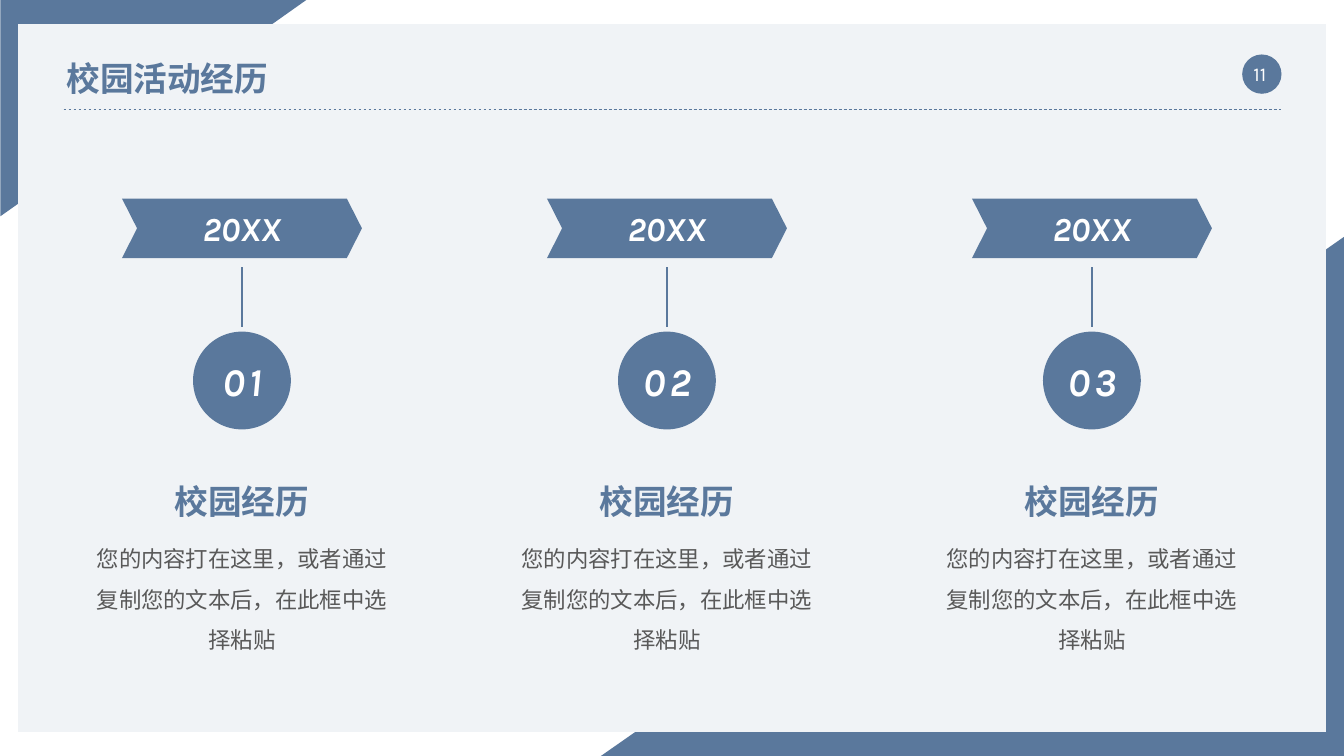
from dataclasses import dataclass

from lxml import etree
from pptx import Presentation
from pptx import util as u
from pptx.dml.color import RGBColor
from pptx.enum import dml, lang, shapes, text
from pptx.oxml.ns import qn


@dataclass(frozen=True)
class Theme:
    """Colours, typeface and type sizes of the slide."""
    blue: str = "5A789C"
    panel: str = "F0F3F6"
    white: str = "FFFFFF"
    grey: str = "595959"
    font: str = "Karla"
    page: int = 14
    body: int = 16
    heading: int = 24
    number: int = 28


THEME = Theme()
WIDTH, HEIGHT = 13.33, 7.5
FIRST_CENTER, CENTER_SPAN = 2.4, 8.43
BODY = "您的内容打在这里，或者通过复制您的文本后，在此框中选择粘贴"
EXPERIENCES = [(year, number, "校园经历", BODY)
               for year, number in (("20XX", "01"), ("20XX", "02"), ("20XX", "03"))]


def inches(*lengths):
    """Convert lengths in inches to slide units."""
    return [u.Inches(length) for length in lengths]


def paint(shape, color):
    """Give a shape a flat fill without outline or shadow."""
    shape.fill.solid()
    shape.fill.fore_color.rgb = RGBColor.from_string(color)
    shape.line.fill.background()
    shape.shadow.inherit = False
    return shape


def add_figure(parent, kind, box, color=THEME.blue, adjust=None, rotation=0):
    """Add a flat preset shape."""
    shape = paint(parent.add_shape(kind, *inches(*box)), color)
    if adjust is not None:
        shape.adjustments[0] = adjust
    shape.rotation = rotation
    return shape


def add_line(parent, start, end, width, dash=None):
    """Add a straight blue line."""
    line = parent.add_connector(shapes.MSO_CONNECTOR.STRAIGHT, *inches(*start, *end))
    line.line.color.rgb = RGBColor.from_string(THEME.blue)
    line.line.width = u.Pt(width)
    if dash:
        line.line.dash_style = dash
    etree.SubElement(line.element.spPr, qn("a:effectLst"))


def write(shape, content, size, color, bold=False, italic=False, tracking=0,
          align=text.PP_ALIGN.CENTER, anchor=text.MSO_ANCHOR.TOP, spacing=1.0,
          wrap=True, margins=None):
    """Write one formatted paragraph into a shape."""
    frame = shape.text_frame
    frame.word_wrap = wrap
    frame.auto_size = text.MSO_AUTO_SIZE.NONE
    frame.vertical_anchor = anchor
    if margins is not None:
        frame.margin_left = frame.margin_right = u.Inches(margins)
        frame.margin_top = frame.margin_bottom = u.Inches(margins)
    paragraph = frame.paragraphs[0]
    paragraph.alignment = align
    paragraph.line_spacing = spacing
    run = paragraph.add_run()
    run.text = content
    font = run.font
    font.name, font.size, font.bold, font.italic = THEME.font, u.Pt(size), bold, italic
    font.color.rgb = RGBColor.from_string(color)
    font.language_id = lang.MSO_LANGUAGE_ID.SIMPLIFIED_CHINESE
    properties = run.font._element
    etree.SubElement(properties, qn("a:ea"), typeface=THEME.font)
    if tracking:
        properties.set("spc", str(tracking * 100))


def add_text(parent, box, content, size, color, **style):
    """Add a text box."""
    write(parent.add_textbox(*inches(*box)), content, size, color, **style)


def add_ribbon(parent, center, top, width, height, notch):
    """Add a notched ribbon that points right."""
    left, right = center - width / 2, center + width / 2
    middle, bottom = top + height / 2, top + height
    outline = [(right - notch, top), (right, middle), (right - notch, bottom),
               (left, bottom), (left + notch, middle)]
    builder = parent.build_freeform(*inches(left, top), scale=1.0)
    builder.add_line_segments([inches(*point) for point in outline], close=True)
    paint(builder.convert_to_shape(), THEME.blue)


def add_frame(parent):
    """Draw the corner triangles, panel, page badge and title rule."""
    triangle = shapes.MSO_SHAPE.ISOSCELES_TRIANGLE
    add_figure(parent, triangle, (5.96, 2.35, WIDTH - 5.96, HEIGHT - 2.35), adjust=1)
    add_figure(parent, triangle, (0.45, -0.45, 2.15, 3.04), adjust=0, rotation=90)
    add_figure(parent, shapes.MSO_SHAPE.RECTANGLE, (0.18, 0.24, 12.97, 7.02), THEME.panel)
    add_figure(parent, shapes.MSO_SHAPE.OVAL, (12.32, 0.54, 0.39, 0.39))
    add_text(parent, (12.22, 0.58, 0.55, 0.3), "11", THEME.page, THEME.white,
             anchor=text.MSO_ANCHOR.MIDDLE)
    add_line(parent, (0.63, 1.09), (12.71, 1.09), 0.5, dml.MSO_LINE.DASH)


def place_title(title, content):
    """Format the title placeholder and bring it to the front."""
    title.left, title.top, title.width, title.height = inches(0.56, 0.52, 2.22, 0.5)
    write(title, content, THEME.heading, THEME.blue, bold=True, wrap=False,
          align=text.PP_ALIGN.LEFT, anchor=text.MSO_ANCHOR.MIDDLE)
    title.element.getparent().append(title.element)


def add_experience(parent, center, year, number, heading, body):
    """Add one column: year ribbon, stem, numbered circle, heading and body."""
    group = parent.add_group_shape().shapes
    diameter, label, column = 0.97, 1.55, 3.1
    circle = add_figure(group, shapes.MSO_SHAPE.OVAL,
                        (center - diameter / 2, 3.29, diameter, diameter))
    write(circle, number, THEME.number, THEME.white, bold=True, italic=True,
          tracking=3, anchor=text.MSO_ANCHOR.MIDDLE, margins=0)
    add_line(group, (center, 3.24), (center, 2.65), 1.5)
    add_ribbon(group, center, 1.97, 2.38, 0.59, 0.15)
    add_text(group, (center - label / 2, 2.01, label, 0.5), year,
             THEME.heading, THEME.white, bold=True, italic=True)
    add_text(group, (center - column / 2, 5.23, column, 1.27), body,
             THEME.body, THEME.grey, spacing=1.5)
    add_text(group, (center - label / 2, 4.72, label, 0.5), heading,
             THEME.heading, THEME.blue, bold=True, wrap=False)


def main():
    """Build and save the slide."""
    presentation = Presentation()
    presentation.slide_width, presentation.slide_height = inches(WIDTH, HEIGHT)
    slide = presentation.slides.add_slide(presentation.slide_layouts[5])
    add_frame(slide.shapes)
    step = CENTER_SPAN / (len(EXPERIENCES) - 1)
    for index, experience in enumerate(EXPERIENCES):
        add_experience(slide.shapes, FIRST_CENTER + index * step, *experience)
    place_title(slide.shapes.title, "校园活动经历")
    presentation.save("out.pptx")


if __name__ == "__main__":
    main()
